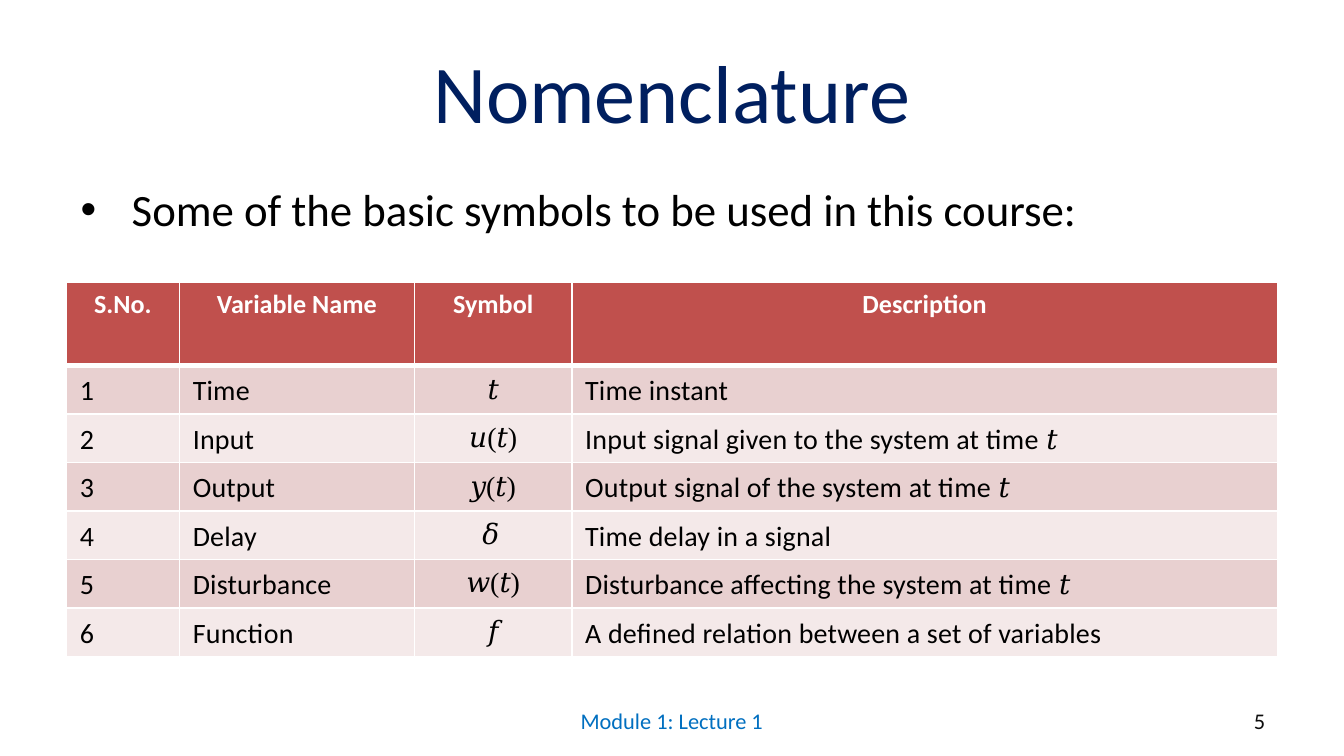
from dataclasses import dataclass

from lxml.etree import SubElement
from pptx import Presentation
from pptx.dml.color import RGBColor as Rgb
from pptx.enum.text import MSO_ANCHOR as Anchor, MSO_AUTO_SIZE as AutoSize, PP_ALIGN as Align
from pptx.oxml import parse_xml
from pptx.oxml.ns import nsdecls, qn
from pptx.util import Emu, Inches, Pt


@dataclass(frozen=True)
class Theme:
    font: str = "Calibri"
    math_font: str = "Times New Roman"
    navy: str = "001F5F"
    blue: str = "006FC0"
    ink: str = "000000"
    soft_ink: str = "0D0D0D"
    white: str = "FFFFFF"
    header_fill: str = "C0504D"
    bands: tuple = ("E8D0D0", "F4E9E9")
    title_size: float = 44
    lead_size: float = 24
    header_size: float = 14
    body_size: float = 15
    footer_size: float = 12
    footer_leading: float = 12.4


THEME = Theme()
UNIT = Inches(0.1)
SLIDE_COLUMNS, SLIDE_ROWS = 100, 56.25
TABLE_COLUMNS = (8.4, 17.5, 11.7, 52.5)
HEADER_ROW, BODY_ROW = 6.2, 3.61
TIME_SYMBOL = "𝑡"

HEADINGS = ("S.No.", "Variable Name", "Symbol", "Description")
VARIABLES = (
    ("Time", "𝑡", "Time instant"),
    ("Input", "𝑢(𝑡)", "Input signal given to the system at time 𝑡"),
    ("Output", "𝑦(𝑡)", "Output signal of the system at time 𝑡"),
    ("Delay", "𝛿", "Time delay in a signal"),
    ("Disturbance", "𝑤(𝑡)", "Disturbance affecting the system at time 𝑡"),
    ("Function", "𝑓", "A defined relation between a set of variables"),
)


def grid(units):
    return Emu(round(units * UNIT))


def set_insets(target, left=0, top=0):
    target.margin_left, target.margin_top = grid(left), grid(top)
    target.margin_right = target.margin_bottom = 0


def style(paragraph, size, color, align=Align.LEFT, font=THEME.font, bold=False):
    paragraph.alignment = align
    paragraph.font.name = font
    paragraph.font.size = Pt(size)
    paragraph.font.bold = bold
    paragraph.font.color.rgb = Rgb.from_string(color)


def add_text(slide, place, text, left=0, top=0):
    frame = slide.shapes.add_textbox(*map(grid, place)).text_frame
    frame.word_wrap = True
    set_insets(frame, left, top)
    paragraph = frame.paragraphs[0]
    paragraph.text = text
    return paragraph


def add_title(slide, text):
    title = slide.shapes.title
    title.left, title.top, title.width, title.height = map(grid, (32, 2.7, 36, 7.7))
    frame = title.text_frame
    frame.auto_size = AutoSize.NONE
    frame.vertical_anchor = Anchor.TOP
    set_insets(frame, top=0.4)
    frame.text = text
    style(frame.paragraphs[0], THEME.title_size, THEME.navy, Align.CENTER)


def add_lead(slide, text):
    paragraph = add_text(slide, (5.9, 13.3, 76, 4.3), text, top=0.25)
    properties = paragraph._p.get_or_add_pPr()
    properties.set("marL", str(grid(3.9)))
    properties.set("indent", str(-grid(3.8)))
    SubElement(properties, qn("a:buFont"), typeface="Arial")
    SubElement(properties, qn("a:buChar"), char="•")
    style(paragraph, THEME.lead_size, THEME.ink)


def add_footer(slide, place, text, color, left=0):
    paragraph = add_text(slide, place, text, left)
    paragraph.line_spacing = Pt(THEME.footer_leading)
    style(paragraph, THEME.footer_size, color)


def set_borders(cell, top=1, bottom=1):
    properties = cell._tc.get_or_add_tcPr()
    for position, (side, width) in enumerate((("L", 1), ("R", 1), ("T", top), ("B", bottom))):
        properties.insert(position, parse_xml(
            f'<a:ln{side} {nsdecls("a")} w="{Pt(width)}"><a:solidFill>'
            f'<a:srgbClr val="{THEME.white}"/></a:solidFill></a:ln{side}>'))


def prepare_cell(cell, fill, top_inset, left_inset=0, **borders):
    cell.fill.solid()
    cell.fill.fore_color.rgb = Rgb.from_string(fill)
    set_insets(cell, left_inset, top_inset)
    set_borders(cell, **borders)
    return cell.text_frame.paragraphs[0]


def fill_header(table):
    for cell, heading in zip(table.rows[0].cells, HEADINGS):
        paragraph = prepare_cell(cell, THEME.header_fill, 0.45, bottom=3)
        paragraph.text = heading
        style(paragraph, THEME.header_size, THEME.white, Align.CENTER, bold=True)


def write_description(paragraph, text):
    words = text.removesuffix(TIME_SYMBOL)
    run = paragraph.add_run()
    run.text = words
    run._r.get_or_add_rPr().set("spc", "10")
    if words != text:
        symbol = paragraph.add_run()
        symbol.text = TIME_SYMBOL
        symbol.font.name = THEME.math_font


def fill_variable(table, number, variable):
    fill = THEME.bands[(number - 1) % 2]
    top_border = 3 if number == 1 else 1
    for column, text in enumerate((str(number), *variable)):
        is_symbol = HEADINGS[column] == "Symbol"
        paragraph = prepare_cell(table.cell(number, column), fill, 0.65,
                                 0 if is_symbol else 1, top=top_border)
        if is_symbol:
            paragraph.text = text
            style(paragraph, THEME.body_size, THEME.ink, Align.CENTER, THEME.math_font)
        else:
            write_description(paragraph, text)
            style(paragraph, THEME.body_size, THEME.ink)


def add_symbol_table(slide):
    heights = (HEADER_ROW,) + (BODY_ROW,) * len(VARIABLES)
    place = map(grid, (4.95, 21, sum(TABLE_COLUMNS), sum(heights)))
    table = slide.shapes.add_table(len(heights), len(TABLE_COLUMNS), *place).table
    for column, width in zip(table.columns, TABLE_COLUMNS):
        column.width = grid(width)
    for row, height in zip(table.rows, heights):
        row.height = grid(height)
    fill_header(table)
    for number, variable in enumerate(VARIABLES, 1):
        fill_variable(table, number, variable)


def main():
    deck = Presentation()
    deck.slide_width, deck.slide_height = grid(SLIDE_COLUMNS), grid(SLIDE_ROWS)
    slide = deck.slides.add_slide(deck.slide_layouts[5])
    add_title(slide, "Nomenclature")
    add_footer(slide, (43.1, 52.9, 14.5, 2), "Module 1: Lecture 1", THEME.blue, 0.1)
    add_footer(slide, (92.2, 52.9, 2.2, 2), "5", THEME.soft_ink, 1.1)
    add_symbol_table(slide)
    add_lead(slide, "Some of the basic symbols to be used in this course:")
    deck.save("out.pptx")


if __name__ == "__main__":
    main()
